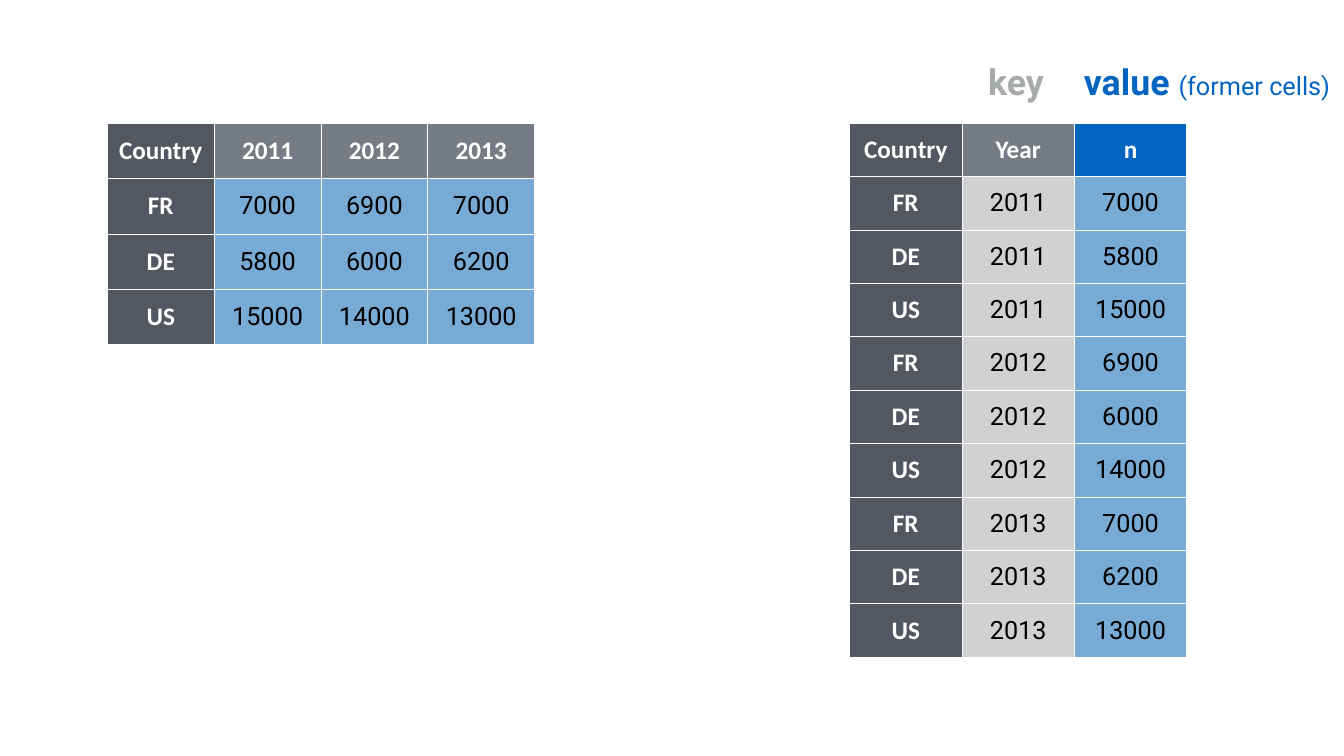
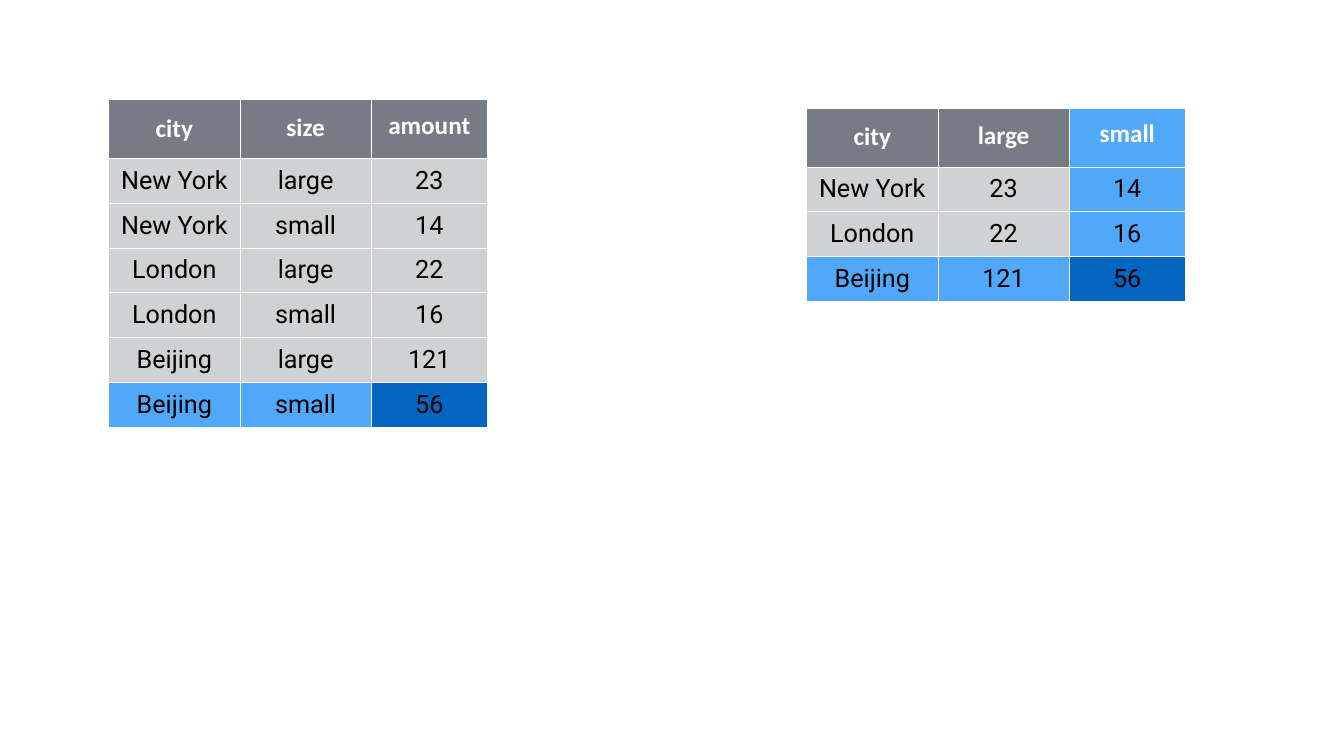
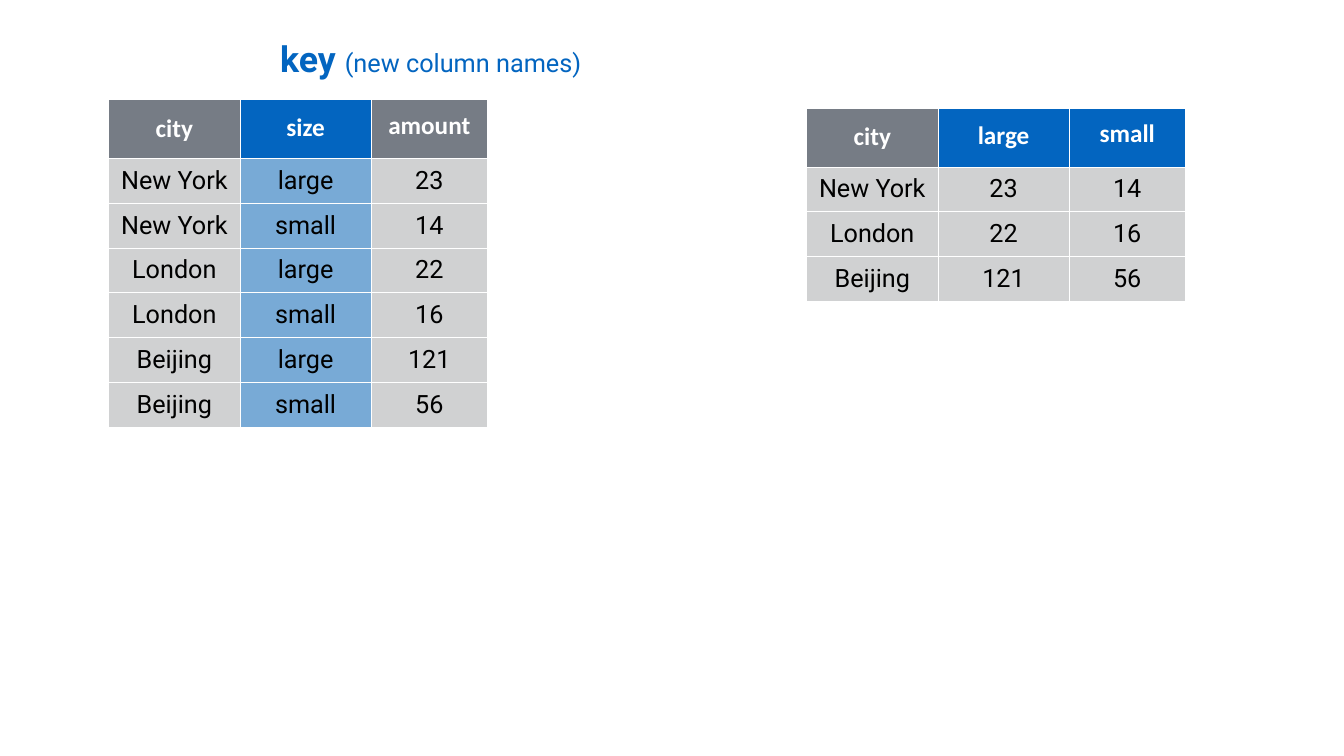
"""Build three slides that show tables reshaped between wide and long form."""
from lxml.etree import SubElement
from pptx import Presentation
from pptx.dml.color import RGBColor
from pptx.enum.text import MSO_ANCHOR as Anchor, PP_ALIGN as Align
from pptx.oxml import parse_xml
from pptx.oxml.ns import nsdecls, qn
from pptx.util import Inches, Pt

FILLS = {"D": "535761", "H": "767C85", "G": "D0D1D2",
         "S": "78AAD6", "L": "51A8F9", "B": "0365C0"}
BLUE, KEY_GRAY, WHITE, BLACK = "0365C0", "A6AAA9", "FFFFFF", "000000"
HEADER_FONT, BODY_FONT = "Calibri", "Roboto"

YEARS = ["2011", "2012", "2013"]
CASES = {"FR": ["7000", "6900", "7000"],
         "DE": ["5800", "6000", "6200"],
         "US": ["15000", "14000", "13000"]}
POLLUTION = {"New York": ["23", "14"], "London": ["22", "16"], "Beijing": ["121", "56"]}
SIZES = ["large", "small"]

CASES_WIDE = [["Country", *YEARS]] + [[country, *counts] for country, counts in CASES.items()]
CASES_LONG = [["Country", "Year", "n"]] + [
    [country, year, counts[index]]
    for index, year in enumerate(YEARS) for country, counts in CASES.items()]
CITIES_LONG = [["city", "size", "amount"]] + [
    [city, size, amount]
    for city, amounts in POLLUTION.items() for size, amount in zip(SIZES, amounts)]
CITIES_WIDE = [["city", *SIZES]] + [[city, *amounts] for city, amounts in POLLUTION.items()]

CASES_WIDE_LAYOUT = {"left": 2.13, "top": 2.44, "widths": [2.12] * 4,
                     "header": 1.1, "row": 1.1, "spacing": [None] * 4}
CASES_LONG_LAYOUT = {"left": 16.86, "top": 2.44, "widths": [2.23] * 3,
                     "header": 1.06, "row": 1.06, "spacing": [None] * 3}
CITY_COLUMNS = {"widths": [2.62, 2.59, 2.32], "row": 0.89, "spacing": [None, 0.8, 0.6]}
CITIES_LONG_LAYOUT = {"left": 2.15, "top": 1.98, "header": 1.16, **CITY_COLUMNS}
CITIES_WIDE_LAYOUT = {"left": 16, "top": 2.14, "header": 1.17, **CITY_COLUMNS}

SLIDES = [
    {"tables": [(CASES_WIDE, ["DHHH"] + ["DSSS"] * 3, CASES_WIDE_LAYOUT),
                (CASES_LONG, ["DHB"] + ["DGS"] * 9, CASES_LONG_LAYOUT)],
     "labels": [(19.53, 1.11, KEY_GRAY, "key", ""),
                (21.43, 1.11, BLUE, "value ", "(former cells)")]},
    {"tables": [(CITIES_LONG, ["HHH"] + ["GGG"] * 5 + ["LLB"], CITIES_LONG_LAYOUT),
                (CITIES_WIDE, ["HHL", "GGL", "GGL", "LLB"], CITIES_WIDE_LAYOUT)],
     "labels": []},
    {"tables": [(CITIES_LONG, ["HBH"] + ["GSG"] * 6, CITIES_LONG_LAYOUT),
                (CITIES_WIDE, ["HBB"] + ["GGG"] * 3, CITIES_WIDE_LAYOUT)],
     "labels": [(5.48, 0.65, BLUE, "key ", "(new column names)")]},
]


def color(value):
    """Turn a hex string into a colour."""
    return RGBColor.from_string(value)


def set_attributes(target, values):
    """Set each named attribute of the target."""
    for name, value in values.items():
        setattr(target, name, value)


def add_run(paragraph, text, font_name, size, hex_color, bold):
    """Add one formatted run of text."""
    run = paragraph.add_run()
    run.text = text
    set_attributes(run.font, {"name": font_name, "size": Pt(size), "bold": bold})
    run.font.color.rgb = color(hex_color)


def set_margins(target, inset):
    """Give a cell or text frame equal margins and centre it vertically."""
    set_attributes(target, {f"margin_{side}": Inches(inset)
                            for side in ("left", "right", "top", "bottom")})
    target.vertical_anchor = Anchor.MIDDLE


def add_borders(cell):
    """Draw thin white lines on all four sides of a cell."""
    properties = cell._tc.get_or_add_tcPr()
    for index, side in enumerate(("lnL", "lnR", "lnT", "lnB")):
        line = parse_xml(f'<a:{side} {nsdecls("a")} w="{Pt(1)}"/>')
        fill = SubElement(line, qn("a:solidFill"))
        SubElement(fill, qn("a:srgbClr"), val=WHITE)
        properties.insert(index, line)


def format_cell(cell, text, fill_code, is_header, line_spacing):
    """Fill in one table cell."""
    set_margins(cell, 0.06)
    cell.fill.solid()
    cell.fill.fore_color.rgb = color(FILLS[fill_code])
    add_borders(cell)
    paragraph = cell.text_frame.paragraphs[0]
    paragraph.alignment = Align.CENTER
    if is_header:
        paragraph.line_spacing = line_spacing
    if is_header or fill_code == "D":
        add_run(paragraph, text, HEADER_FONT, 36, WHITE, True)
    else:
        add_run(paragraph, text, BODY_FONT, 36, BLACK, False)


def add_data_table(slide, rows, fills, layout):
    """Add a table with a fill code for each cell."""
    widths = layout["widths"]
    heights = [layout["header"]] + [layout["row"]] * (len(rows) - 1)
    table = slide.shapes.add_table(
        len(rows), len(widths), Inches(layout["left"]), Inches(layout["top"]),
        Inches(sum(widths)), Inches(sum(heights))).table
    set_attributes(table, {"first_row": False, "horz_banding": False})
    for column, width in zip(table.columns, widths):
        column.width = Inches(width)
    for row_index, (row, height) in enumerate(zip(table.rows, heights)):
        row.height = Inches(height)
        for cell, text, fill_code, spacing in zip(
                row.cells, rows[row_index], fills[row_index], layout["spacing"]):
            format_cell(cell, text, fill_code, row_index == 0, spacing)


def add_label(slide, left, top, hex_color, term, remark):
    """Add a bold term with an optional smaller remark."""
    box = slide.shapes.add_textbox(Inches(left), Inches(top), Inches(7.08), Inches(1))
    frame = box.text_frame
    frame.word_wrap = True
    set_margins(frame, 0.08)
    paragraph = frame.paragraphs[0]
    add_run(paragraph, term, BODY_FONT, 51, hex_color, True)
    if remark:
        add_run(paragraph, remark, BODY_FONT, 36.1, hex_color, False)


def main():
    """Build and save the presentation."""
    presentation = Presentation()
    set_attributes(presentation, {"slide_width": Inches(26.67), "slide_height": Inches(15)})
    for content in SLIDES:
        slide = presentation.slides.add_slide(presentation.slide_layouts[6])
        for table in content["tables"]:
            add_data_table(slide, *table)
        for label in content["labels"]:
            add_label(slide, *label)
    presentation.save("out.pptx")


if __name__ == "__main__":
    main()
